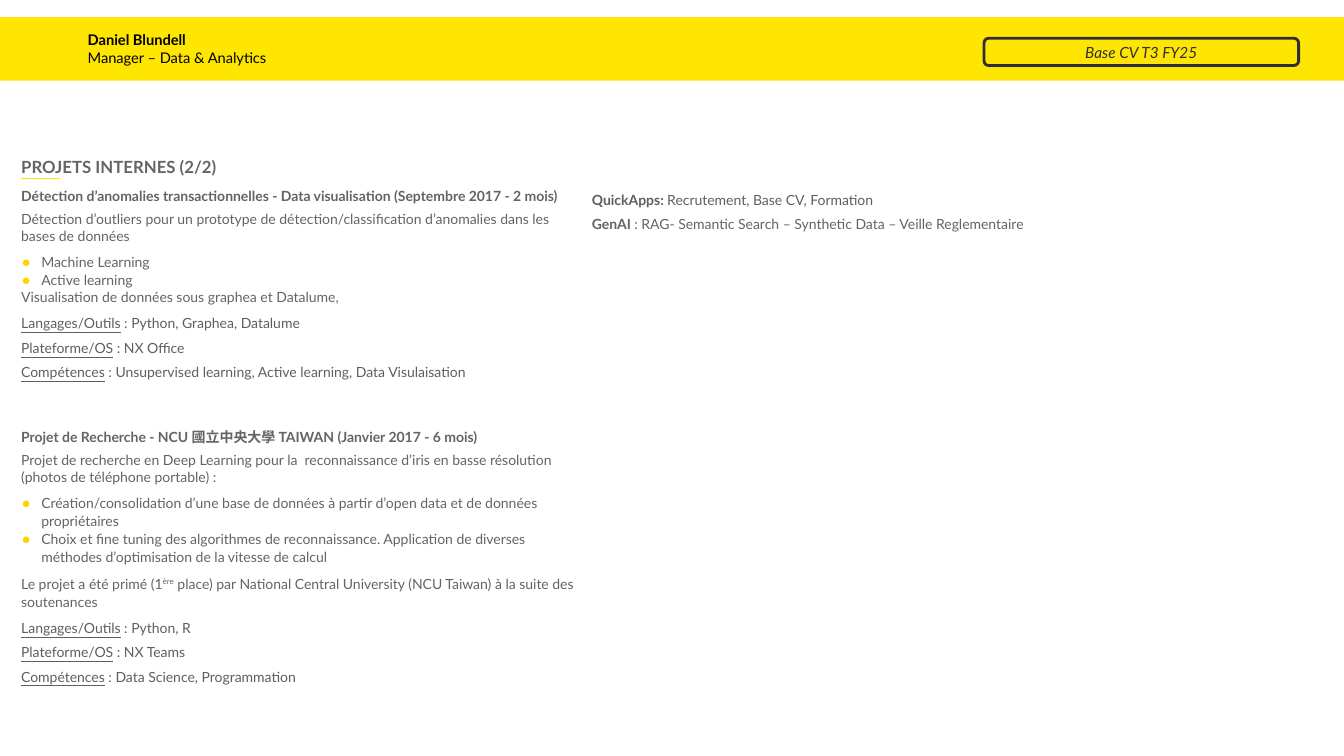
"""Build a one-slide CV page listing internal projects under a yellow name band."""
from lxml.etree import SubElement
from pptx import Presentation
from pptx.dml.color import RGBColor
from pptx.enum.shapes import MSO_CONNECTOR, MSO_SHAPE
from pptx.enum.text import MSO_ANCHOR, MSO_AUTO_SIZE, PP_ALIGN
from pptx.oxml.ns import qn
from pptx.util import Inches, Pt

THEME = {
    "font": "Lato",
    "yellow": "FFE600", "bullet": "FFD200", "text": "646464",
    "label": "5F5E62", "dark": "2E2E38", "black": "000000",
    "title": 12, "body": 10, "name": 10.5, "tag": 11,
}
WIDTH, HEIGHT = 13.33, 7.5
LEFT, TOP, GAP = 0.21, 1.89, 0.08
COL = (11.24 - GAP) / 2
INDENT = Inches(0.2)

FORMATS = {
    "heading": {"line_spacing": Pt(9.8), "space_after": Pt(4.5)},
    "next heading": {"line_spacing": Pt(9.8), "space_before": Pt(32), "space_after": Pt(4.5)},
    "text": {"line_spacing": 1.0, "space_after": Pt(6)},
    "loose": {"line_spacing": 1.07, "space_after": Pt(6)},
    "bullet": {"line_spacing": 1.07},
    "last bullet": {"line_spacing": 1.07, "space_after": Pt(6)},
    "label": {"line_spacing": 1.07, "space_after": Pt(4.5)},
    "centre": {"alignment": PP_ALIGN.CENTER},
    "plain": {"alignment": PP_ALIGN.LEFT},
}
BOLD = {"bold": True}
LABEL = {"underline": True, "color": "label"}


def labels(tools, platform, skills):
    """Return the three underlined label lines that close a project."""
    pairs = (("Langages/Outils", tools), ("Plateforme/OS", platform), ("Compétences", skills))
    return [("label", [(name, LABEL), (f" : {value}", {"color": "label"})]) for name, value in pairs]


def write(shape, paragraphs, size, color="text", anchor=MSO_ANCHOR.TOP, inset=0):
    """Write paragraphs of (format, runs) into a shape."""
    tf = shape.text_frame
    frame = {"word_wrap": True, "auto_size": MSO_AUTO_SIZE.NONE, "vertical_anchor": anchor,
             "margin_left": Inches(inset), "margin_right": 0, "margin_top": 0, "margin_bottom": 0}
    for key, value in frame.items():
        setattr(tf, key, value)
    for i, (kind, runs) in enumerate(paragraphs):
        p = tf.add_paragraph() if i else tf.paragraphs[0]
        fmt = {"alignment": PP_ALIGN.LEFT, "space_before": Pt(0), "space_after": Pt(0)}
        for key, value in (fmt | FORMATS[kind]).items():
            setattr(p, key, value)
        pPr = p._p.get_or_add_pPr()
        bulleted = kind.endswith("bullet")
        pPr.set("marL", str(INDENT if bulleted else 0))
        pPr.set("indent", str(-INDENT if bulleted else 0))
        if bulleted:
            SubElement(SubElement(pPr, qn("a:buClr")), qn("a:srgbClr"), val=THEME["bullet"])
            SubElement(pPr, qn("a:buSzPct"), val="125000")
            SubElement(pPr, qn("a:buFont"), typeface=THEME["font"])
            SubElement(pPr, qn("a:buChar"), char="•")
        else:
            SubElement(pPr, qn("a:buNone"))
        for text, style in runs:
            r = p.add_run()
            r.text = text
            look = {"name": THEME["font"], "size": Pt(THEME[size]), "bold": False} | style
            r.font.color.rgb = RGBColor.from_string(THEME[look.pop("color", color)])
            if look.pop("superscript", False):
                r._r.get_or_add_rPr().set("baseline", "30000")
            for key, value in look.items():
                setattr(r.font, key, value)


PROJECTS = [
    ("heading", [("Détection d’anomalies transactionnelles - Data visualisation (Septembre 2017 - 2 mois)", BOLD)]),
    ("text", [("Détection d’outliers pour un prototype de détection/classification d’anomalies dans les "
               "bases de données", {})]),
    ("bullet", [("Machine Learning", {})]),
    ("bullet", [("Active learning", {})]),
    ("text", [("Visualisation de données sous graphea et Datalume,", {})]),
    *labels("Python, Graphea, Datalume", "NX Office", "Unsupervised learning, Active learning, Data Visulaisation"),
    ("next heading", [("Projet de Recherche - NCU 國立中央大學 TAIWAN (Janvier 2017 - 6 mois)", BOLD)]),
    ("text", [("Projet de recherche en Deep Learning pour la  reconnaissance d’iris en basse résolution "
               "(photos de téléphone portable) :", {})]),
    ("bullet", [("Création/consolidation d’une base de données à partir d’open data et de données "
                 "propriétaires", {})]),
    ("last bullet", [("Choix et fine tuning des algorithmes de reconnaissance. Application de diverses "
                      "méthodes d’optimisation de la vitesse de calcul", {})]),
    ("loose", [("Le projet a été primé (1", {}), ("ère", {"superscript": True}),
               (" place) par National Central University (NCU Taiwan) à la suite des soutenances", {})]),
    *labels("Python, R", "NX Teams", "Data Science, Programmation"),
]
TOPICS = [
    ("label", [("QuickApps: ", BOLD | {"color": "label"}),
               ("Recrutement, Base CV, Formation", {"color": "label"})]),
    ("label", [("GenAI ", BOLD), (": RAG- Semantic Search – Synthetic Data – Veille Reglementaire", {})]),
]

prs = Presentation()
prs.slide_width, prs.slide_height = Inches(WIDTH), Inches(HEIGHT)
s = prs.slides.add_slide(prs.slide_layouts[3])
title, projects, topics = s.placeholders

boxes = (
    (title, (LEFT, 1.52, 7.35, 0.26)),
    (projects, (LEFT, TOP, COL, 5.4)),
    (topics, (LEFT + COL + GAP, TOP, COL, 5.4)),
)
for shape, box in boxes:
    shape.left, shape.top, shape.width, shape.height = map(Inches, box)
write(title, [("plain", [("PROJETS INTERNES (2/2)", BOLD)])], "title", anchor=MSO_ANCHOR.MIDDLE)
write(projects, PROJECTS, "body")
write(topics, TOPICS, "body")

rule = s.shapes.add_connector(MSO_CONNECTOR.STRAIGHT, *map(Inches, (LEFT, 1.77, 0.6, 1.77)))
rule.line.color.rgb = RGBColor.from_string(THEME["yellow"])
rule.line.width = Pt(1)
SubElement(rule._element.spPr, qn("a:effectLst"))

band = s.shapes.add_shape(MSO_SHAPE.RECTANGLE, *map(Inches, (0, 0.17, WIDTH, 0.63)))
band.shadow.inherit = False
band.fill.solid()
band.fill.fore_color.rgb = RGBColor.from_string(THEME["yellow"])
band.line.fill.background()
write(band, [("plain", [("Daniel Blundell", BOLD)]), ("plain", [("Manager – Data & Analytics", {})])],
      "name", "black", MSO_ANCHOR.MIDDLE, 0.87)

tag = s.shapes.add_shape(MSO_SHAPE.ROUNDED_RECTANGLE, *map(Inches, (9.76, 0.38, 3.12, 0.27)))
tag.shadow.inherit = False
tag.fill.background()
tag.line.color.rgb = RGBColor.from_string(THEME["dark"])
tag.line.width = Pt(2)
write(tag, [("centre", [("Base CV T3 FY25", {"italic": True})])], "tag", "dark", MSO_ANCHOR.MIDDLE)

prs.save("out.pptx")
